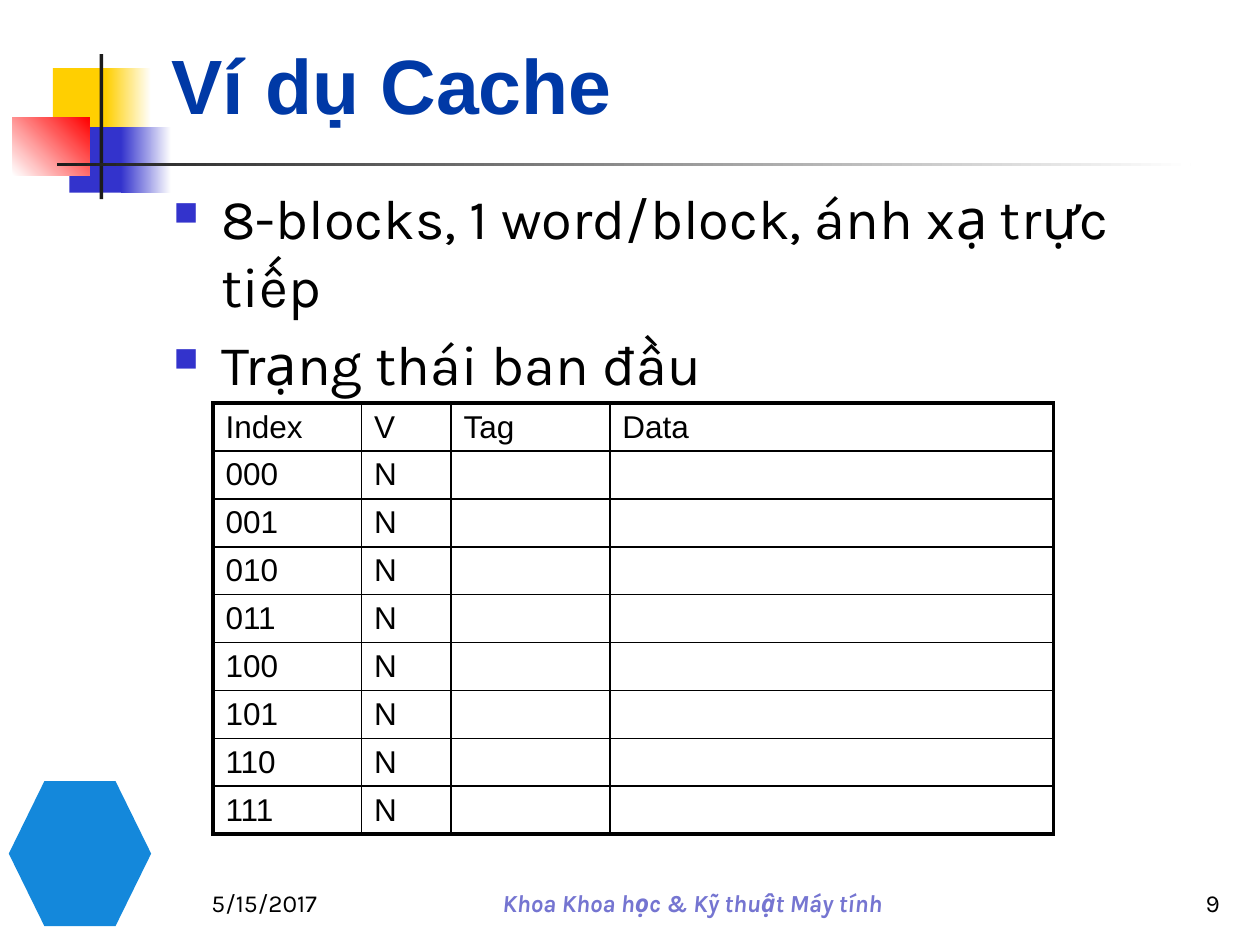
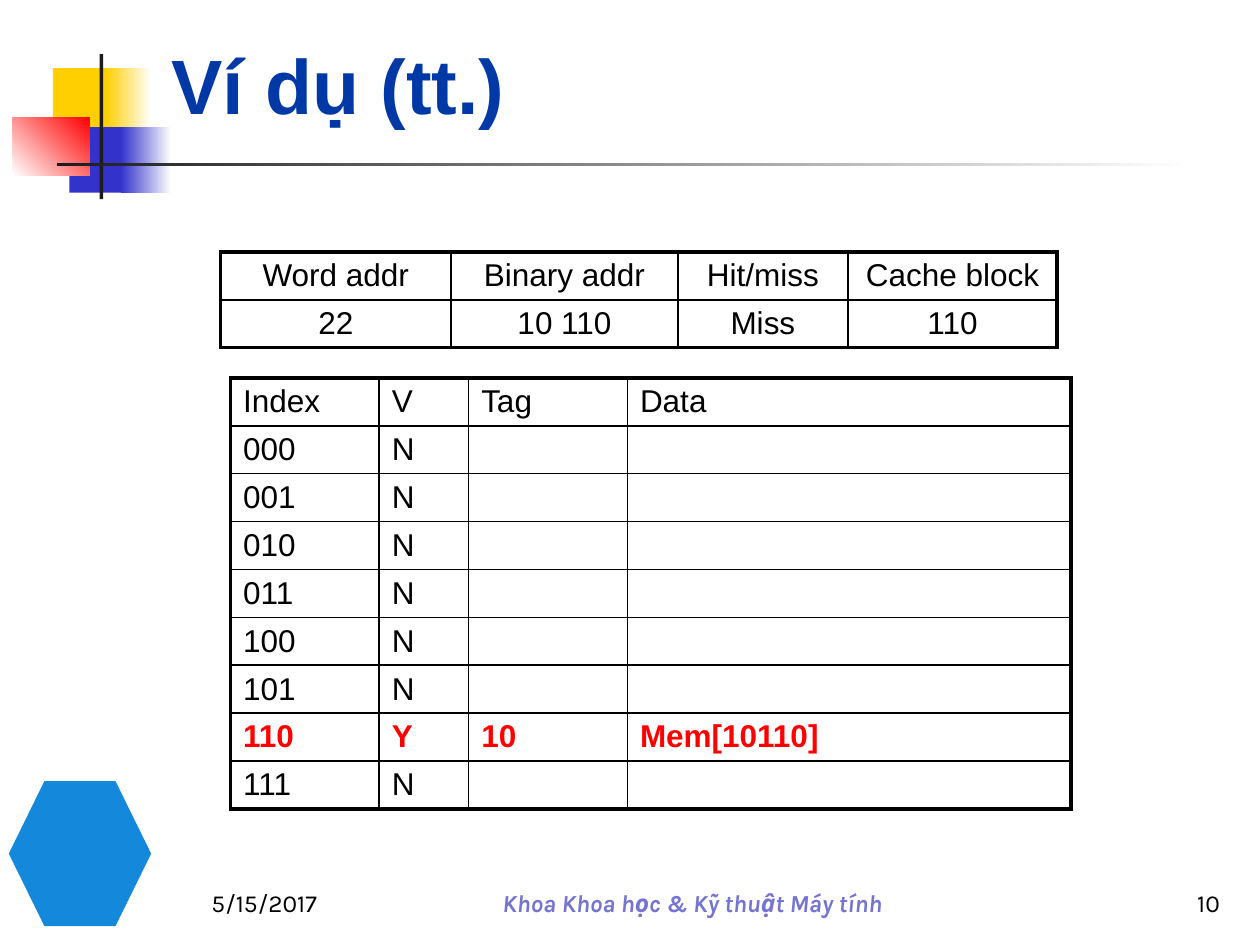
from dataclasses import dataclass

from lxml.etree import SubElement
from pptx import Presentation
from pptx.dml.color import RGBColor as RGB
from pptx.enum.shapes import MSO_SHAPE as SHAPE
from pptx.enum.text import MSO_ANCHOR as ANCHOR, PP_ALIGN as ALIGN
from pptx.oxml.ns import qn
from pptx.util import Inches, Pt


@dataclass(frozen=True)
class Theme:
    heading: str = "Arial"
    body: str = "Karla"
    title_size: float = 44
    body_size: float = 32
    table_size: float = 18
    footer_size: float = 14
    title: str = "0039A6"
    text: str = "000000"
    footer: str = "7575D1"
    accent: str = "FF0000"
    yellow: str = "FFCF01"
    blue: str = "3333CC"
    rule: str = "1C1C1C"
    emblem: str = "1488DB"
    white: str = "FFFFFF"


T = Theme()


def add_run(p, text, font, size, color=T.text, bold=False, italic=False):
    r = p.add_run()
    r.text = text
    r.font.name, r.font.size = font, Pt(size)
    r.font.bold, r.font.italic = bold, italic
    r.font.color.rgb = RGB.from_string(color)


def add_grid(s, left, top, widths, rows, align=ALIGN.LEFT, marked=None):
    """Table with a heavy frame, a medium rule under the header and thin inner lines."""
    height = 0.38
    last_row, last_col = len(rows) - 1, len(widths) - 1
    tbl = s.shapes.add_table(len(rows), len(widths), Inches(left), Inches(top),
                             Inches(sum(widths)), Inches(height * len(rows))).table
    tbl.first_row = tbl.horz_banding = False
    for col, width in zip(tbl.columns, widths):
        col.width = Inches(width)
    for i, values in enumerate(rows):
        tbl.rows[i].height = Inches(height)
        for j, value in enumerate(values):
            cell = tbl.cell(i, j)
            cell.margin_top = cell.margin_bottom = Inches(0.04)
            cell.vertical_anchor = ANCHOR.MIDDLE
            borders = {
                "a:lnL": 2.25 if j == 0 else 1,
                "a:lnR": 2.25 if j == last_col else 1,
                "a:lnT": 2.25 if i == 0 else 1.5 if i == 1 else 1,
                "a:lnB": 2.25 if i == last_row else 1.5 if i == 0 else 1,
            }
            for tag, weight in borders.items():
                ln = SubElement(cell._tc.get_or_add_tcPr(), qn(tag), w=str(Pt(weight)))
                fill = SubElement(ln, qn("a:solidFill"))
                SubElement(fill, qn("a:srgbClr"), val=T.text)
            cell.fill.background()
            p = cell.text_frame.paragraphs[0]
            p.alignment = align
            if value:
                hot = i == marked
                add_run(p, value, T.heading, T.table_size, T.accent if hot else T.text, hot)


# Shared parts: left, top, width, height, then start colour, end colour, angle
DECOR = [
    (0.42, 0.54, 0.48, 0.52, T.yellow, None, 0),
    (0.84, 0.54, 0.36, 0.52, T.yellow, T.white, 0),
    (0.55, 1.01, 0.46, 0.52, T.blue, None, 0),
    (0.96, 1.01, 0.4, 0.52, T.blue, T.white, 0),
    (0.1, 0.93, 0.61, 0.46, T.white, T.accent, 45),
    (0.79, 0.43, 0.03, 1.15, T.rule, None, 0),
    (0.45, 1.29, 9, 0.03, T.rule, T.white, 0),
]
DATE = "5/15/2017"
FACULTY = "Khoa Khoa học & Kỹ thuật Máy tính"

# Cache contents
CACHE_WIDTHS = [1.18, 0.71, 1.26, 3.52]
HEADER = ["Index", "V", "Tag", "Data"]
empty_cache = [HEADER] + [[f"{n:03b}", "N", "", ""] for n in range(8)]
filled_cache = [list(row) for row in empty_cache]
miss_row = 1 + 0b110
filled_cache[miss_row] = ["110", "Y", "10", "Mem[10110]"]

prs = Presentation()
prs.slide_width, prs.slide_height = Inches(10), Inches(7.5)

# Slide frames: decoration, title and footer
slides = []
for number, title in [(9, "Ví dụ Cache"), (10, "Ví dụ (tt.)")]:
    s = prs.slides.add_slide(prs.slide_layouts[5])
    slides.append(s)

    for left, top, width, height, start, end, angle in DECOR:
        sp = s.shapes.add_shape(SHAPE.RECTANGLE, Inches(left), Inches(top),
                                Inches(width), Inches(height))
        sp.shadow.inherit = False
        sp.line.fill.background()
        if end:
            sp.fill.gradient()
            sp.fill.gradient_angle = angle
            for stop, color in zip(sp.fill.gradient_stops, (start, end)):
                stop.color.rgb = RGB.from_string(color)
        else:
            sp.fill.solid()
            sp.fill.fore_color.rgb = RGB.from_string(start)

    # Plain emblem
    sp = s.shapes.add_shape(SHAPE.HEXAGON, Inches(0.07), Inches(6.2), Inches(1.13), Inches(1.15))
    sp.shadow.inherit = False
    sp.line.fill.background()
    sp.fill.solid()
    sp.fill.fore_color.rgb = RGB.from_string(T.emblem)

    # Title
    sp = s.shapes.title
    sp.left, sp.top, sp.width, sp.height = map(Inches, (1.26, 0.23, 8.52, 0.85))
    sp.text_frame.vertical_anchor = ANCHOR.BOTTOM
    p = sp.text_frame.paragraphs[0]
    p.alignment = ALIGN.LEFT
    add_run(p, title, T.heading, T.title_size, T.title, bold=True)

    # Footer
    for left, top, width, height, text, align, color, strong in [
        (1.58, 6.83, 1.42, 0.5, DATE, ALIGN.LEFT, T.text, False),
        (3.08, 7, 4.83, 0.33, FACULTY, ALIGN.CENTER, T.footer, True),
        (8.33, 6.83, 1.45, 0.5, str(number), ALIGN.RIGHT, T.text, False),
    ]:
        sp = s.shapes.add_textbox(Inches(left), Inches(top), Inches(width), Inches(height))
        tf = sp.text_frame
        tf.word_wrap = True
        tf.vertical_anchor = ANCHOR.BOTTOM
        p = tf.paragraphs[0]
        p.alignment = align
        add_run(p, text, T.body, T.footer_size, color, strong, strong)

start_slide, miss_slide = slides

# Slide 9: bullets and initial state
tf = start_slide.shapes.add_textbox(Inches(1.28), Inches(1.41), Inches(8.5), Inches(1.8)).text_frame
tf.word_wrap = True
for i, text in enumerate(["8-blocks, 1 word/block, ánh xạ trực tiếp", "Trạng thái ban đầu"]):
    p = tf.add_paragraph() if i else tf.paragraphs[0]
    pPr = p._p.get_or_add_pPr()
    pPr.set("marL", str(Inches(0.38)))
    pPr.set("indent", str(-Inches(0.38)))
    SubElement(SubElement(pPr, qn("a:buClr")), qn("a:srgbClr"), val=T.blue)
    SubElement(pPr, qn("a:buSzPct"), val="60000")
    SubElement(pPr, qn("a:buChar"), char="■")
    if i:
        p.space_before = Pt(0.2 * T.body_size)
    add_run(p, text, T.body, T.body_size)
add_grid(start_slide, 1.69, 3.2, CACHE_WIDTHS, empty_cache)

# Slide 10: first access and the cache after it
add_grid(miss_slide, 1.83, 3, CACHE_WIDTHS, filled_cache, marked=miss_row)
add_grid(miss_slide, 1.75, 2, [1.83, 1.8, 1.35, 1.66], [
    ["Word addr", "Binary addr", "Hit/miss", "Cache block"],
    ["22", "10 110", "Miss", "110"],
], ALIGN.CENTER)

prs.save("out.pptx")
